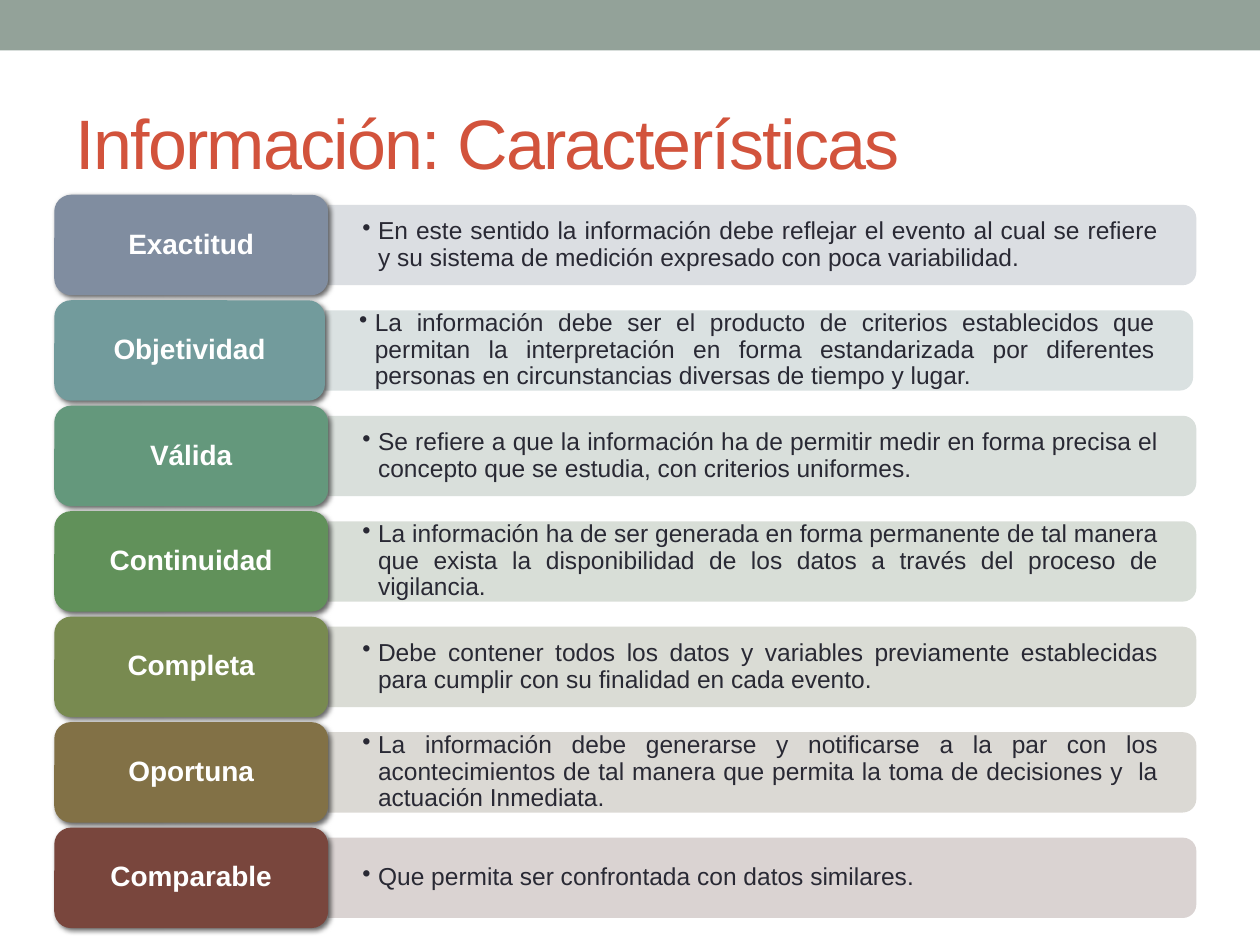
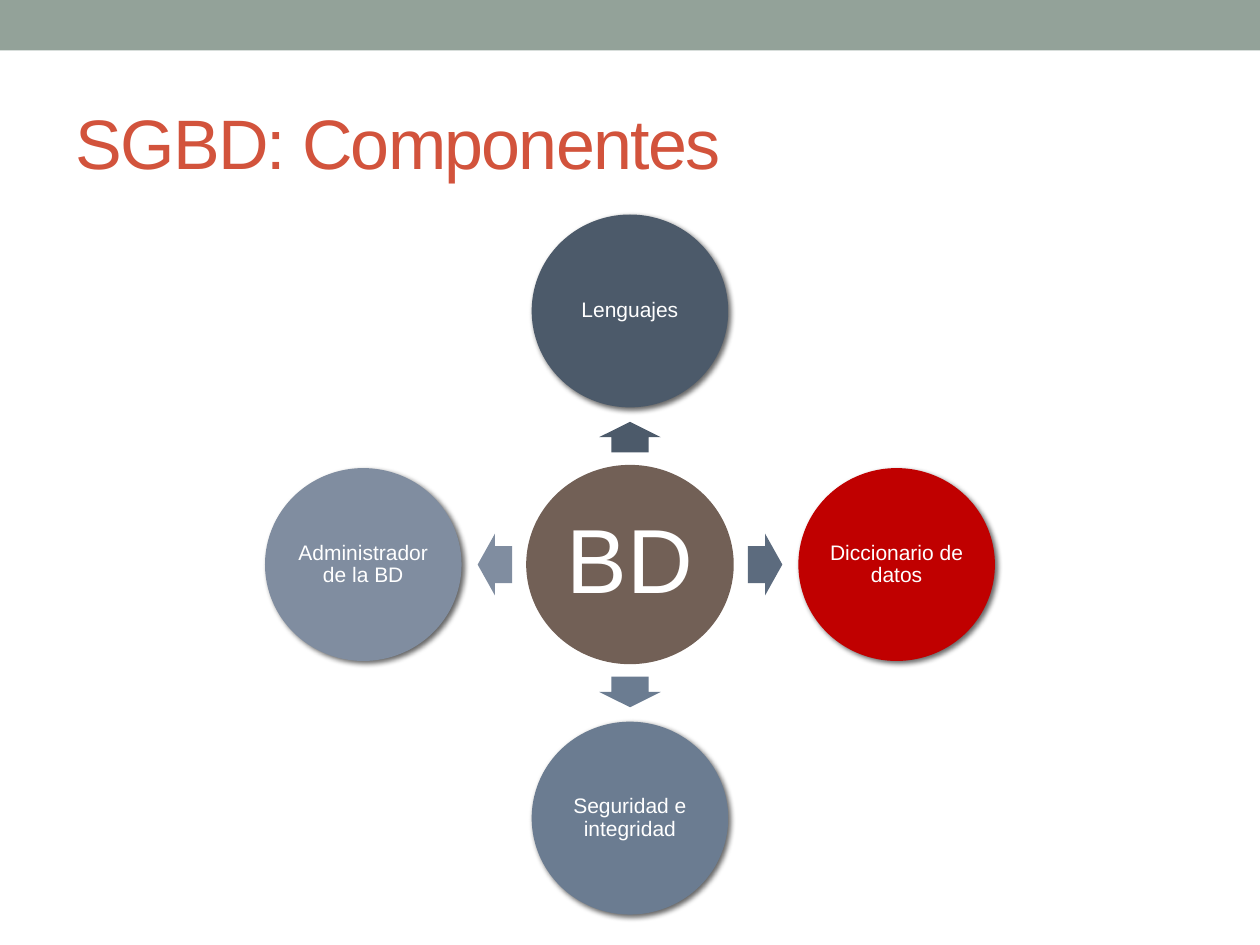
"""Builds two slides: information characteristics and the components of a database system."""

from dataclasses import dataclass
from typing import Any, NamedTuple

from lxml.etree import SubElement
from pptx import Presentation
from pptx.dml.color import RGBColor
from pptx.enum.shapes import MSO_SHAPE
from pptx.enum.text import MSO_ANCHOR, PP_ALIGN
from pptx.oxml.ns import qn
from pptx.shapes.autoshape import Shape
from pptx.slide import Slide
from pptx.util import Pt


@dataclass(frozen=True)
class Theme:
    font: str = "Arial"
    band: str = "93A299"
    title: str = "D2533C"
    text: str = "292934"
    light: str = "FFFFFF"
    shadow: str = "000000"
    hub: str = "726056"
    title_size: int = 40
    hub_size: int = 52
    label_size: int = 16
    detail_size: int = 14
    component_size: int = 12


class Box(NamedTuple):
    left: float
    top: float
    width: float
    height: float

    @classmethod
    def around(cls, x: float, y: float, width: float, height: float) -> "Box":
        return cls(x - width / 2, y - height / 2, width, height)


class Characteristic(NamedTuple):
    label: str
    detail: str
    label_color: str
    bar_color: str
    label_width: float = 156.5


class Component(NamedTuple):
    label: str
    color: str
    arrow_color: str
    across: int
    down: int
    rotation: int


THEME = Theme()
WIDTH, HEIGHT = 720, 540
TITLE_BOX = Box(36, 41.75, 648, 77.75)

ROW_LEFT, ROW_TOP, ROW_PITCH = 31, 111.3, 60.27
LABEL_HEIGHT, BAR_HEIGHT, BAR_LENGTH = 57.4, 45.9, 496.1
DETAIL_WIDTH, DETAIL_HEIGHT = 494, 41.75

HUB_X, HUB_Y = 360, 322.6
HUB_SIZE = (118.6, 113.9)
COMPONENT_SIZE = (112.3, 110.2)
ORBIT_X, ORBIT_Y = 152.4, 144.9
ARROW_ORBIT_X, ARROW_ORBIT_Y = 77.2, 72.8
ARROW_LENGTH_X, ARROW_LENGTH_Y, ARROW_BREADTH = 19.7, 17.5, 35.3

CHARACTERISTICS = [
    Characteristic("Exactitud", "En este sentido la información debe reflejar el evento al cual se refiere y su sistema de medición expresado con poca variabilidad.", "808DA0", "D8DBDF"),
    Characteristic("Objetividad", "La información debe ser el producto de criterios establecidos que permitan la interpretación en forma estandarizada por diferentes personas en circunstancias diversas de tiempo y lugar.", "729B9C", "D6DEDE", 154.7),
    Characteristic("Válida", "Se refiere a que la información ha de permitir medir en forma precisa el concepto que se estudia, con criterios uniformes.", "64987C", "D5DCD8"),
    Characteristic("Continuidad", "La información ha de ser generada en forma permanente de tal manera que exista la disponibilidad de los datos a través del proceso de vigilancia.", "61915A", "D4DBD3"),
    Characteristic("Completa", "Debe contener todos los datos y variables previamente establecidas para cumplir con su finalidad en cada evento.", "788A50", "D7D9D1"),
    Characteristic("Oportuna", "La información debe generarse y notificarse a la par con los acontecimientos de tal manera que permita la toma de decisiones y  la actuación Inmediata.", "827146", "D8D5D0"),
    Characteristic("Comparable", "Que permita ser confrontada con datos similares.", "79463D", "D7CFCE"),
]

COMPONENTS = [
    Component("Lenguajes", "4C5A6A", "4C5A6A", 0, -1, 270),
    Component("Diccionario de datos", "C00000", "5C6B7E", 1, 0, 0),
    Component("Seguridad e integridad", "6B7C91", "6B7C91", 0, 1, 90),
    Component("Administrador de la BD", "808DA0", "808DA0", -1, 0, 180),
]


def apply_format(target: Any, values: dict[str, Any]) -> None:
    for name, value in values.items():
        setattr(target, name, value)


def place(shape: Any, box: Box) -> None:
    apply_format(shape, {name: Pt(value) for name, value in box._asdict().items()})


def write(shape: Any, text: str, size: float, color: str, align: PP_ALIGN,
          margins: tuple[float, float] = (7.2, 3.6), spacing: float = 0.9,
          bold: bool = False, bullet_indent: float = 0) -> None:
    horizontal, vertical = map(Pt, margins)
    frame = shape.text_frame
    apply_format(frame, {
        "text": text, "word_wrap": True, "vertical_anchor": MSO_ANCHOR.MIDDLE,
        "margin_left": horizontal, "margin_right": horizontal,
        "margin_top": vertical, "margin_bottom": vertical,
    })
    paragraph = frame.paragraphs[0]
    apply_format(paragraph, {"alignment": align, "line_spacing": spacing})
    if bullet_indent:
        properties = paragraph._p.get_or_add_pPr()
        properties.set("marL", str(Pt(bullet_indent)))
        properties.set("indent", str(-Pt(bullet_indent)))
        SubElement(properties, qn("a:buChar"), char="•")
    font = paragraph.runs[0].font
    apply_format(font, {"name": THEME.font, "size": Pt(size), "bold": bold})
    font.color.rgb = RGBColor.from_string(color)


def add_filled(slide: Slide, kind: MSO_SHAPE, box: Box, color: str,
               rotation: float = 0, shadow: bool = False) -> Shape:
    shape = slide.shapes.add_shape(kind, *map(Pt, box))
    shape.rotation = rotation
    shape.fill.solid()
    shape.fill.fore_color.rgb = RGBColor.from_string(color)
    shape.line.fill.background()
    shape.shadow.inherit = False
    if shadow:
        effects = shape.element.spPr.find(qn("a:effectLst"))
        outer = SubElement(effects, qn("a:outerShdw"), blurRad=str(Pt(3)), dist=str(Pt(2)),
                           dir="2700000", algn="tl", rotWithShape="0")
        shadow_color = SubElement(outer, qn("a:srgbClr"), val=THEME.shadow)
        SubElement(shadow_color, qn("a:alpha"), val="60000")
    return shape


def add_titled_slide(presentation: Any, title: str) -> Slide:
    slide = presentation.slides.add_slide(presentation.slide_layouts[5])
    shape = slide.shapes.title
    place(shape, TITLE_BOX)
    write(shape, title, THEME.title_size, THEME.title, PP_ALIGN.LEFT, spacing=1)
    shape.text_frame.paragraphs[0].runs[0].font._element.set("spc", "-100")
    return slide


def add_master_band(presentation: Any, slide: Slide) -> None:
    band = add_filled(slide, MSO_SHAPE.RECTANGLE, Box(0, 0, WIDTH, 28.8), THEME.band)
    presentation.slide_master.shapes.element.insert(2, band.element)


def add_characteristic(slide: Slide, item: Characteristic, top: float) -> None:
    bar_left = ROW_LEFT + item.label_width
    middle = top + LABEL_HEIGHT / 2
    bar_box = Box.around(bar_left + BAR_LENGTH / 2, middle, BAR_HEIGHT, BAR_LENGTH)
    bar = add_filled(slide, MSO_SHAPE.ROUND_2_SAME_RECTANGLE, bar_box, item.bar_color, 90)
    bar_fill = bar.element.spPr.find(qn("a:solidFill"))
    SubElement(bar_fill[0], qn("a:alpha"), val="90000")

    detail_box = Box(bar_left, middle - DETAIL_HEIGHT / 2, DETAIL_WIDTH, DETAIL_HEIGHT)
    detail = slide.shapes.add_textbox(*map(Pt, detail_box))
    write(detail, item.detail, THEME.detail_size, THEME.text, PP_ALIGN.JUSTIFY,
          margins=(19.5, 9.75), bullet_indent=9)

    label_box = Box(ROW_LEFT, top, item.label_width, LABEL_HEIGHT)
    label = add_filled(slide, MSO_SHAPE.ROUNDED_RECTANGLE, label_box, item.label_color, shadow=True)
    write(label, item.label, THEME.label_size, THEME.light, PP_ALIGN.CENTER, (5, 2.5), bold=True)


def add_component(slide: Slide, item: Component) -> None:
    arrow_length = ARROW_LENGTH_X if item.across else ARROW_LENGTH_Y
    arrow_box = Box.around(HUB_X + item.across * ARROW_ORBIT_X, HUB_Y + item.down * ARROW_ORBIT_Y,
                           arrow_length, ARROW_BREADTH)
    arrow = add_filled(slide, MSO_SHAPE.RIGHT_ARROW, arrow_box, item.arrow_color, item.rotation)
    arrow.adjustments[0], arrow.adjustments[1] = 0.6, 0.5

    circle_box = Box.around(HUB_X + item.across * ORBIT_X, HUB_Y + item.down * ORBIT_Y,
                            *COMPONENT_SIZE)
    circle = add_filled(slide, MSO_SHAPE.OVAL, circle_box, item.color, shadow=True)
    write(circle, item.label, THEME.component_size, THEME.light, PP_ALIGN.CENTER, (1.25, 1.25))


def build_characteristics(presentation: Any) -> None:
    slide = add_titled_slide(presentation, "Información: Características")
    add_master_band(presentation, slide)
    for row, item in enumerate(CHARACTERISTICS):
        add_characteristic(slide, item, ROW_TOP + row * ROW_PITCH)


def build_components(presentation: Any) -> None:
    slide = add_titled_slide(presentation, "SGBD: Componentes")
    hub = add_filled(slide, MSO_SHAPE.OVAL, Box.around(HUB_X, HUB_Y, *HUB_SIZE), THEME.hub)
    write(hub, "BD", THEME.hub_size, THEME.light, PP_ALIGN.CENTER, (5, 5))
    for item in COMPONENTS:
        add_component(slide, item)


def main() -> None:
    presentation = Presentation()
    apply_format(presentation, {"slide_width": Pt(WIDTH), "slide_height": Pt(HEIGHT)})
    build_characteristics(presentation)
    build_components(presentation)
    presentation.save("out.pptx")


if __name__ == "__main__":
    main()
